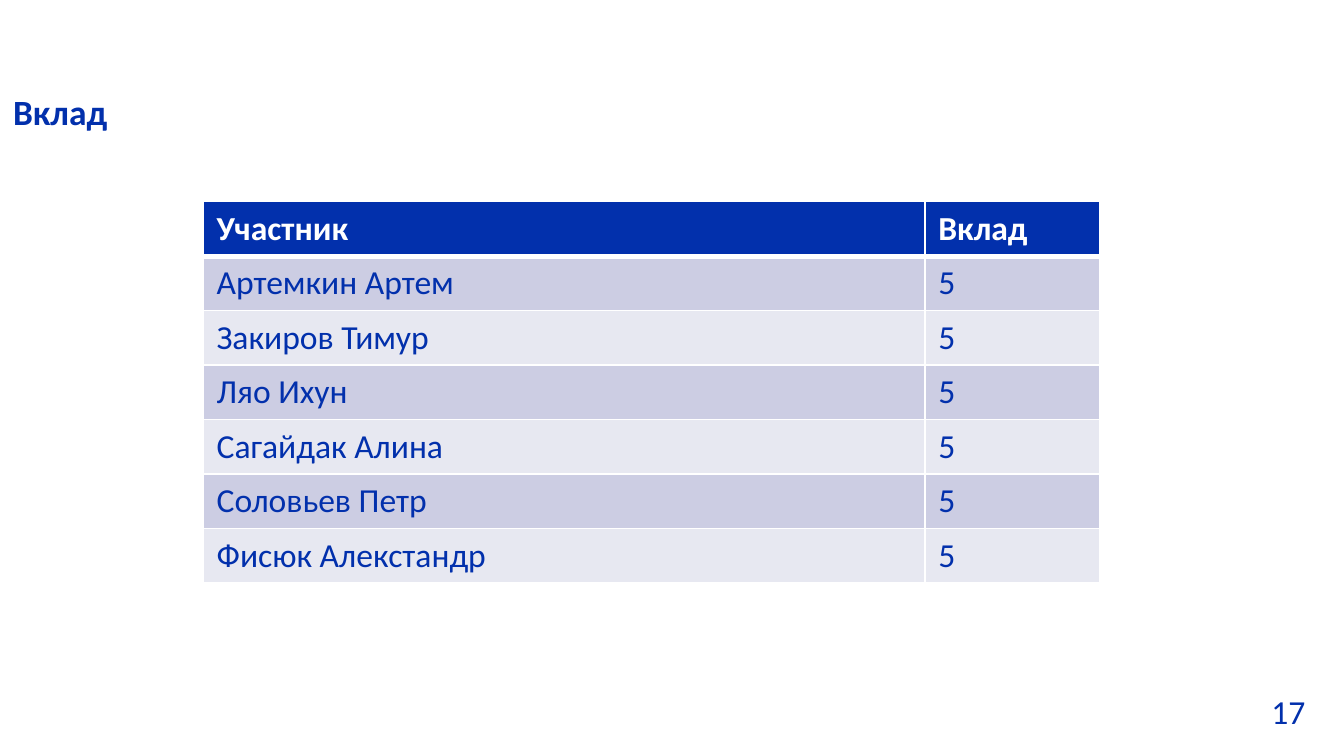
from dataclasses import dataclass

from lxml import etree
from pptx import Presentation
from pptx import util as u
from pptx.dml.color import RGBColor
from pptx.enum import text as t
from pptx.oxml.ns import qn

# Content
TITLE = "Вклад"
PAGE_NUMBER = "17"
HEADER = ("Участник", "Вклад")
CONTRIBUTIONS = [
    ("Артемкин Артем", 5),
    ("Закиров Тимур", 5),
    ("Ляо Ихун", 5),
    ("Сагайдак Алина", 5),
    ("Соловьев Петр", 5),
    ("Фисюк Алекстандр", 5),
]


@dataclass(frozen=True)
class Theme:
    font: str = "Calibri"
    blue: str = "0230AC"
    white: str = "FFFFFF"
    bands: tuple = ("CCCDE3", "E7E8F1")
    title_size: int = 19
    body_size: int = 18
    border: int = 1
    header_border: int = 3


THEME = Theme()

# Layout in centimetres
SLIDE_SIZE = (25.4, 14.29)
TITLE_BOX = (0, 0.89, 7.95, 1.75)
NUMBER_BOX = (22.66, 12.93, 2.26, 1.02)
TABLE_LEFT, TABLE_TOP = 3.84, 3.81
COLUMN_WIDTHS = (13.64, 3.3)
ROW_HEIGHT = 1.03


def write(frame, content, size=THEME.body_size, color=THEME.blue, bold=False,
          align=t.PP_ALIGN.LEFT, anchor=t.MSO_ANCHOR.TOP):
    frame.word_wrap = True
    frame.vertical_anchor = anchor
    paragraph = frame.paragraphs[0]
    paragraph.alignment = align
    run = paragraph.add_run()
    run.text = str(content)
    run.font.name = THEME.font
    run.font.size = u.Pt(size)
    run.font.bold = bold
    run.font.color.rgb = RGBColor.from_string(color)


def add_text(slide, box, content, **style):
    shape = slide.shapes.add_textbox(*map(u.Cm, box))
    write(shape.text_frame, content, **style)


def set_borders(cell, **widths):
    properties = cell._tc.get_or_add_tcPr()
    for side in "LRTB":
        width = u.Pt(widths.get(side, THEME.border))
        line = etree.SubElement(properties, qn(f"a:ln{side}"), w=str(width))
        fill = etree.SubElement(line, qn("a:solidFill"))
        etree.SubElement(fill, qn("a:srgbClr"), val=THEME.white)


def add_contributions(slide):
    rows = [HEADER, *CONTRIBUTIONS]
    table = slide.shapes.add_table(
        len(rows), len(HEADER), u.Cm(TABLE_LEFT), u.Cm(TABLE_TOP),
        u.Cm(sum(COLUMN_WIDTHS)), u.Cm(ROW_HEIGHT * len(rows))).table
    for column, width in zip(table.columns, COLUMN_WIDTHS):
        column.width = u.Cm(width)
    for i, values in enumerate(rows):
        table.rows[i].height = u.Cm(ROW_HEIGHT)
        is_header = i == 0
        background = THEME.blue if is_header else THEME.bands[(i - 1) % 2]
        # The thick rule under the header is shared with the first row
        thick = {0: "B", 1: "T"}.get(i)
        widths = {thick: THEME.header_border} if thick else {}
        for j, value in enumerate(values):
            cell = table.cell(i, j)
            set_borders(cell, **widths)
            cell.fill.solid()
            cell.fill.fore_color.rgb = RGBColor.from_string(background)
            write(cell.text_frame, value, bold=is_header,
                  color=THEME.white if is_header else THEME.blue)


def main():
    presentation = Presentation()
    presentation.slide_width, presentation.slide_height = map(u.Cm, SLIDE_SIZE)
    slide = presentation.slides.add_slide(presentation.slide_layouts[6])

    # Title and page number
    add_text(slide, TITLE_BOX, TITLE, size=THEME.title_size, bold=True,
             anchor=t.MSO_ANCHOR.BOTTOM)
    add_text(slide, NUMBER_BOX, PAGE_NUMBER, align=t.PP_ALIGN.RIGHT)

    # Table of contributions
    add_contributions(slide)

    presentation.save("out.pptx")


if __name__ == "__main__":
    main()
